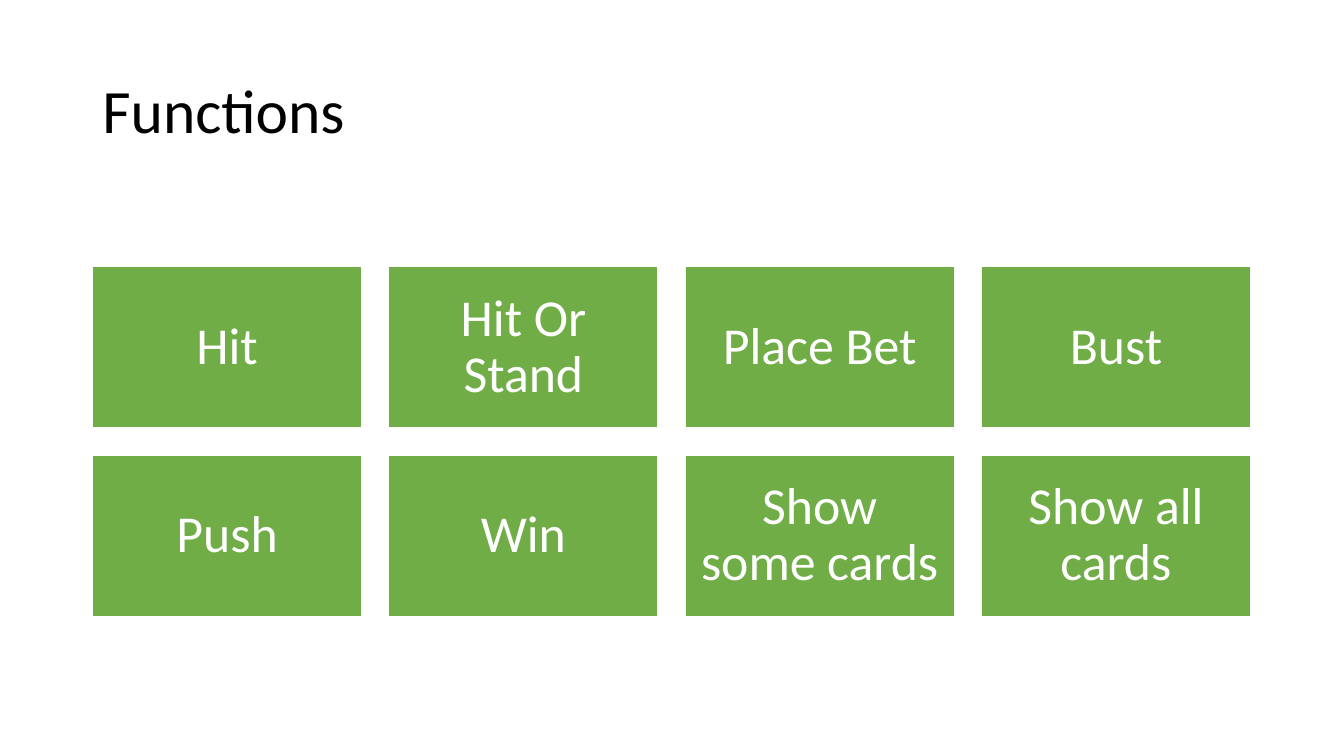
from dataclasses import dataclass

from pptx import Presentation
from pptx.dml.color import RGBColor
from pptx.enum.shapes import MSO_SHAPE
from pptx.enum.text import MSO_ANCHOR, MSO_AUTO_SIZE, PP_ALIGN
from pptx.slide import Slide
from pptx.text.text import TextFrame
from pptx.util import Pt

RECTANGLE = MSO_SHAPE.RECTANGLE
MIDDLE = MSO_ANCHOR.MIDDLE
NO_AUTOFIT = MSO_AUTO_SIZE.NONE
LEFT, CENTER = PP_ALIGN.LEFT, PP_ALIGN.CENTER

FONT = "Calibri"
GREEN, WHITE, BLACK = "70AD47", "FFFFFF", "000000"
TITLE_ONLY = 5

# Grid of function tiles, in points
COLUMNS = 4
GRID_LEFT, GRID_TOP = 66, 190.4
TILE_WIDTH, TILE_HEIGHT = 192.4, 115.4
GAP = 19.24
TILE_INSET = 10.8
FUNCTIONS = ["Hit", "Hit Or Stand", "Place Bet", "Bust",
             "Push", "Win", "Show some cards", "Show all cards"]


@dataclass
class Tile:
    label: str
    left: float
    top: float


def color(value: str) -> RGBColor:
    return RGBColor.from_string(value)


def write(frame: TextFrame, text: str, size: float, ink: str, align: PP_ALIGN) -> None:
    frame.word_wrap = True
    frame.auto_size = NO_AUTOFIT
    frame.vertical_anchor = MIDDLE
    frame.text = text
    paragraph = frame.paragraphs[0]
    paragraph.alignment = align
    paragraph.line_spacing = 0.9
    paragraph.font.name = FONT
    paragraph.font.size = Pt(size)
    paragraph.font.color.rgb = color(ink)


def draw_tile(slide: Slide, tile: Tile) -> None:
    box = slide.shapes.add_shape(RECTANGLE, Pt(tile.left), Pt(tile.top),
                                 Pt(TILE_WIDTH), Pt(TILE_HEIGHT))
    box.shadow.inherit = False
    box.fill.solid()
    box.fill.fore_color.rgb = color(GREEN)
    box.line.color.rgb = color(WHITE)
    box.line.width = Pt(1)
    frame = box.text_frame
    frame.margin_left = frame.margin_right = Pt(TILE_INSET)
    frame.margin_top = frame.margin_bottom = Pt(TILE_INSET)
    write(frame, tile.label, 37, WHITE, CENTER)


def main() -> None:
    deck = Presentation()
    deck.slide_width, deck.slide_height = Pt(960), Pt(540)
    slide = deck.slides.add_slide(deck.slide_layouts[TITLE_ONLY])

    # Title
    heading = slide.shapes.title
    heading.left, heading.top = Pt(66), Pt(28.8)
    heading.width, heading.height = Pt(828), Pt(104.4)
    write(heading.text_frame, "Functions", 44, BLACK, LEFT)

    # Function tiles
    for index, label in enumerate(FUNCTIONS):
        row, column = divmod(index, COLUMNS)
        draw_tile(slide, Tile(label, GRID_LEFT + column * (TILE_WIDTH + GAP),
                              GRID_TOP + row * (TILE_HEIGHT + GAP)))

    deck.save("out.pptx")


if __name__ == "__main__":
    main()
